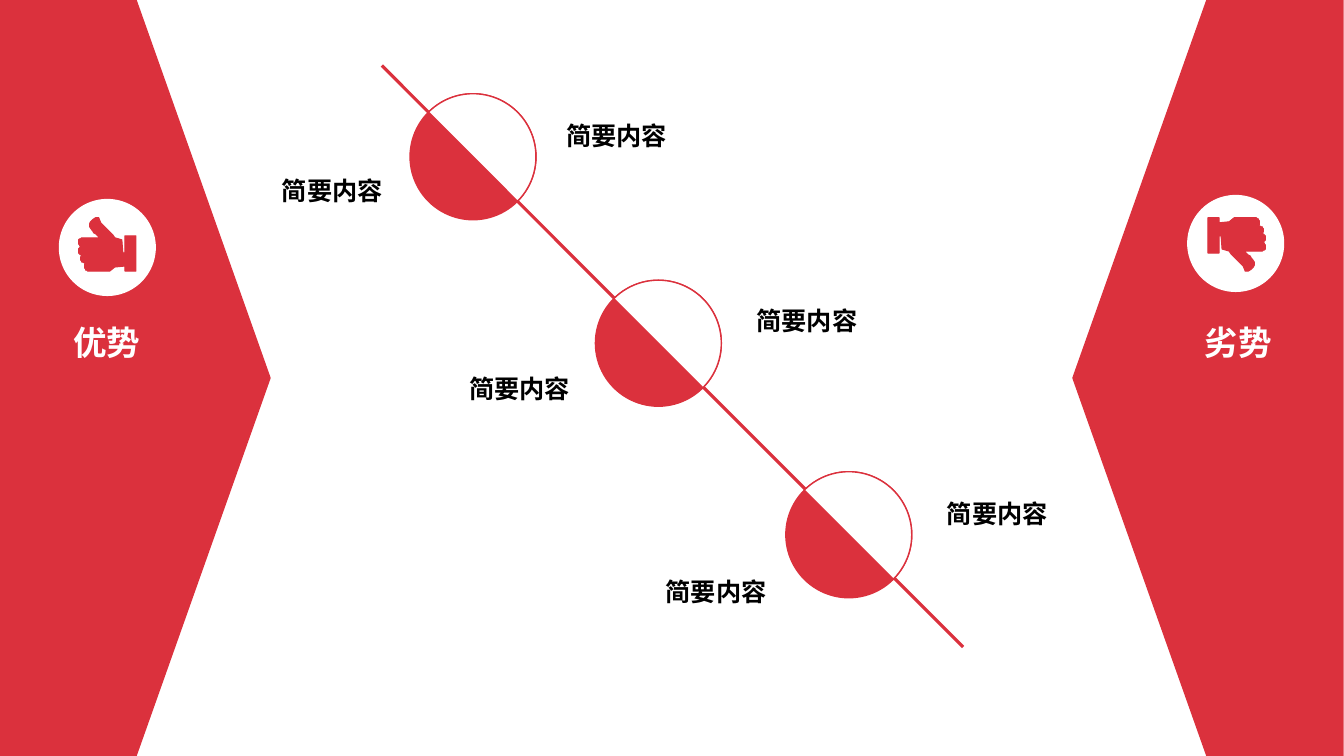
from lxml.etree import SubElement
from pptx import Presentation
from pptx.dml.color import RGBColor
from pptx.enum.shapes import MSO_CONNECTOR, MSO_SHAPE
from pptx.enum.text import MSO_AUTO_SIZE as AUTO_SIZE
from pptx.oxml.ns import qn
from pptx.util import Pt

PX = 9144  # 100 px to the inch
WIDTH, HEIGHT = 1334, 750
RED, WHITE, BLACK = "DB313D", "FFFFFF", "000000"
FONT = "Noto Sans CJK SC"

PANEL = [(0, 0), (135, 0), (268, 375), (135, 750), (0, 750)]
PANEL_MIRROR = 1333
# Each side: mirrored, badge left and top, thumb left and top, title, title left, title width
SIDES = [
    (False, (59, 198), (78, 216), "优势", 63, 203),
    (True, (1179, 194), (1199, 216), "劣势", 1186, 167),
]
TITLE_TOP, TITLE_HEIGHT = 314, 50
BADGE = 95

# Thumb outline: pairs are straight steps, sextuples are cubic curves
THUMB_START = (36, 20)
THUMB = [
    (32, 12, 23, 11, 20, 0), (14, 0, 8, 6, 13, 12), (15, 15, 18, 17, 21, 20),
    (4, 20), (1, 20, 0, 22, 0, 24), (0, 26, 1, 28, 2, 29),
    (1, 29, 0, 31, 0, 33), (0, 35, 1, 37, 3, 37), (3, 38, 2, 39, 2, 41),
    (2, 43, 4, 45, 7, 45), (6, 46, 6, 47, 6, 49), (6, 51, 8, 53, 10, 53),
    (31, 53), (36, 49), (46, 48), (46, 53), (57, 53), (57, 18), (46, 18),
    (46, 35), (44, 35), (43, 22),
]
CURVE_STEPS = 6

DIAGONAL = (379, 65, 956, 642)
DISC = 125
DISCS = [(407, 93), (591, 278), (780, 468)]
LABEL = "简要内容"
LABEL_SIZE = (251, 40)
LABELS = [(270, 169), (456, 365), (651, 567), (930, 489), (741, 298), (552, 114)]


def color(hex_text):
    return RGBColor.from_string(hex_text)


def paint(shape, fill, line, weight=1):
    shape.shadow.inherit = False
    shape.fill.solid()
    shape.fill.fore_color.rgb = color(fill)
    shape.line.color.rgb = color(line)
    shape.line.width = Pt(weight)


def add_outline(slide, points, left=0, top=0):
    builder = slide.shapes.build_freeform(*points[0], scale=PX)
    builder.add_line_segments(points[1:], close=True)
    return builder.convert_to_shape(left * PX, top * PX)


def add_round(slide, kind, left, top, size, fill, line):
    shape = slide.shapes.add_shape(kind, left * PX, top * PX, size * PX, size * PX)
    paint(shape, fill, line)
    return shape


def add_text(slide, text, left, top, width, height, size, ink):
    box = slide.shapes.add_textbox(left * PX, top * PX, width * PX, height * PX)
    frame = box.text_frame
    frame.word_wrap = True
    frame.auto_size = AUTO_SIZE.SHAPE_TO_FIT_TEXT
    frame.text = text
    span = frame.paragraphs[0].runs[0]
    span.font.size, span.font.bold, span.font.name = Pt(size), True, FONT
    span.font.color.rgb = color(ink)
    SubElement(span.font._element, qn("a:ea")).set("typeface", FONT)


def trace(start, steps):
    """Turn straight steps and cubic curves into a list of points."""
    points = [start]
    for step in steps:
        if len(step) == 2:
            points.append(step)
            continue
        knots = [points[-1], step[:2], step[2:4], step[4:]]
        for index in range(1, CURVE_STEPS + 1):
            t = index / CURVE_STEPS
            weights = ((1 - t) ** 3, 3 * t * (1 - t) ** 2, 3 * t * t * (1 - t), t ** 3)
            points.append(tuple(
                sum(weight * knot[axis] for weight, knot in zip(weights, knots))
                for axis in (0, 1)))
    return points


def add_side(slide, mirrored, badge, thumb, title, title_left, title_width):
    outline = [(PANEL_MIRROR - x, y) for x, y in PANEL] if mirrored else PANEL
    paint(add_outline(slide, outline), RED, RED)
    add_round(slide, MSO_SHAPE.OVAL, *badge, BADGE, WHITE, WHITE)
    hand = add_outline(slide, trace(THUMB_START, THUMB), *thumb)
    hand.rotation = 180 if mirrored else 0
    paint(hand, RED, RED, 0.75)
    add_text(slide, title, title_left, TITLE_TOP, title_width, TITLE_HEIGHT, 24, WHITE)


def add_diagonal(slide):
    ends = [value * PX for value in DIAGONAL]
    line = slide.shapes.add_connector(MSO_CONNECTOR.STRAIGHT, *ends)
    line.line.color.rgb = color(RED)
    line.line.width = Pt(2.25)
    SubElement(line._element.spPr, qn("a:effectLst"))


def add_split_disc(slide, left, top):
    """Draw a red disc whose upper right half is white."""
    add_round(slide, MSO_SHAPE.OVAL, left, top, DISC, RED, RED)
    half = add_round(slide, MSO_SHAPE.CHORD, left, top, DISC, WHITE, RED)
    # Angles 225 and 45 degrees, in 60000ths of a degree over 100000
    half.adjustments[0], half.adjustments[1] = 225 * 0.6, 45 * 0.6


def main():
    deck = Presentation()
    deck.slide_width, deck.slide_height = WIDTH * PX, HEIGHT * PX
    page = deck.slides.add_slide(deck.slide_layouts[6])
    for side in SIDES:
        add_side(page, *side)
    add_diagonal(page)
    for disc in DISCS:
        add_split_disc(page, *disc)
    for place in LABELS:
        add_text(page, LABEL, *place, *LABEL_SIZE, 18, BLACK)
    deck.save("out.pptx")


if __name__ == "__main__":
    main()
